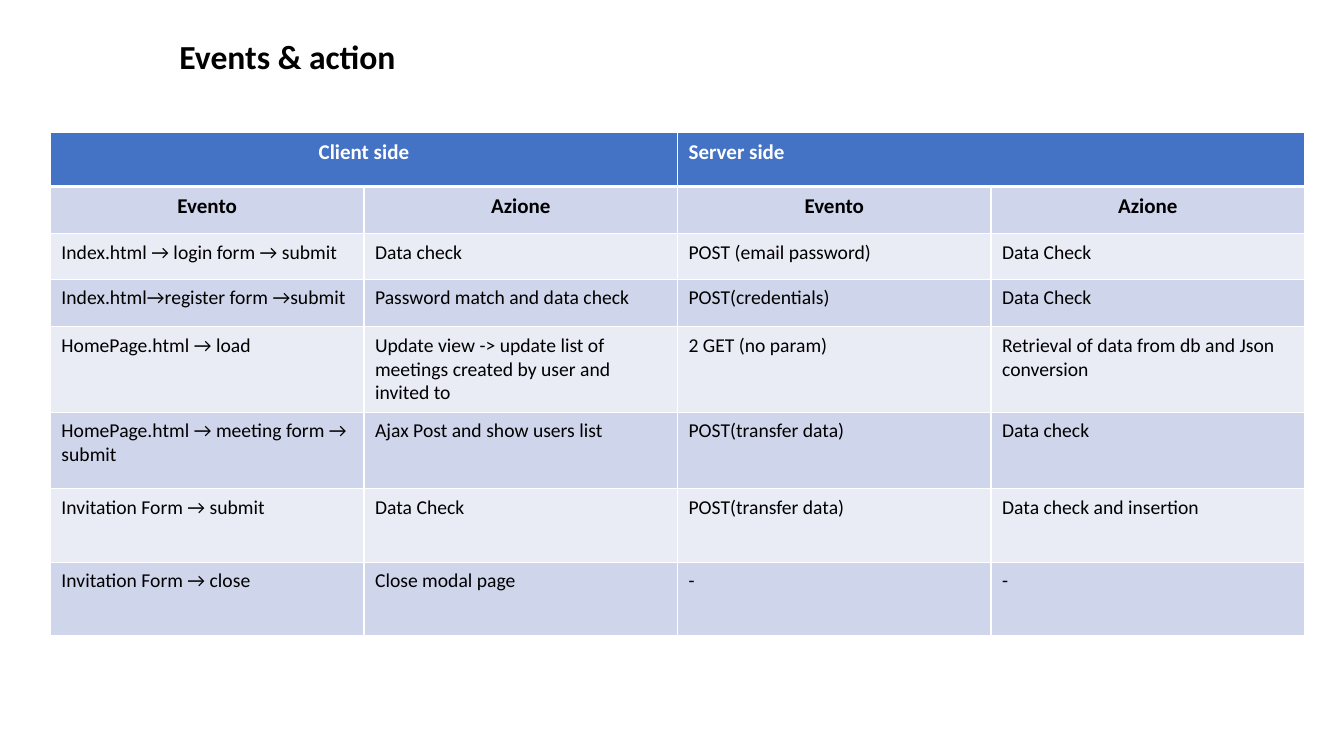
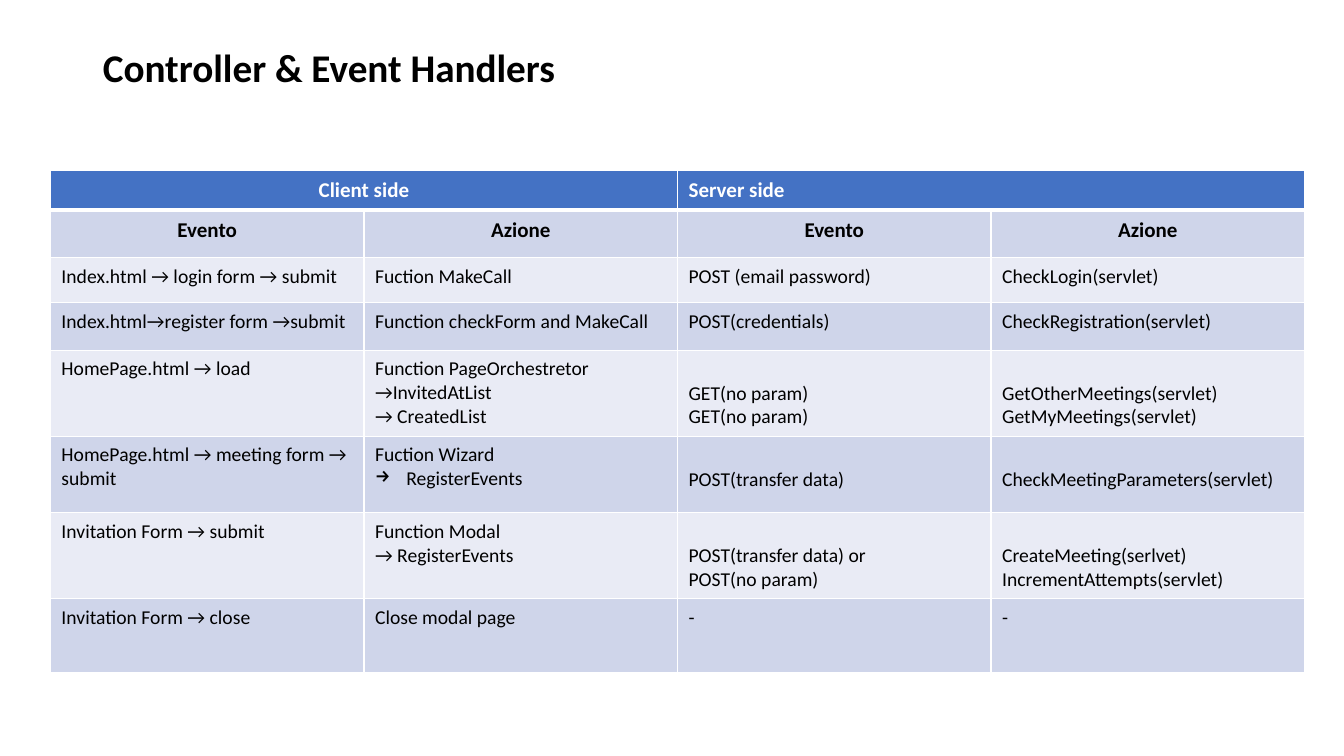
from dataclasses import dataclass

from lxml.etree import SubElement
from pptx import Presentation
from pptx.dml.color import RGBColor
from pptx.enum.text import MSO_ANCHOR, MSO_AUTO_SIZE, PP_ALIGN
from pptx.oxml.ns import qn
from pptx.util import Inches, Pt

COLORS = {
    "black": "000000",
    "white": "FFFFFF",
    "header": "4472C4",
    "dark_band": "CFD5EA",
    "light_band": "E9EBF5",
}
FONT = "Calibri"
TITLE_ONLY_LAYOUT = 5

TABLE_LEFT = 0.5
COLUMN_WIDTH = 3.11
COLUMN_COUNT = 4
BODY_ROW_HEIGHTS = (0.47, 0.45, 0.47, 0.73, 0.76, 0.73, 0.73)
SIDE_MARGIN = 0.11
TOP_MARGIN = 0.07
SECOND_LINE_MARGIN = 0.31
ARROW_INDENT = 0.31
THIN_BORDER = 1
THICK_BORDER = 3


@dataclass(frozen=True)
class Entry:
    text: str
    on_second_line: bool = False
    arrow_on_last: bool = False


@dataclass(frozen=True)
class TitleStyle:
    left: float
    top: float
    width: float
    height: float
    size: int
    line_spacing: float


@dataclass(frozen=True)
class TableSlide:
    title: str
    title_style: TitleStyle
    table_top: float
    header_height: float
    responses: tuple[tuple[Entry, Entry, Entry], ...]


CLIENT_EVENTS = (
    Entry("Index.html → login form → submit"),
    Entry("Index.html→register form →submit"),
    Entry("HomePage.html → load"),
    Entry("HomePage.html → meeting form →\nsubmit"),
    Entry("Invitation Form → submit"),
    Entry("Invitation Form → close"),
)
CLOSE_RESPONSE = (Entry("Close modal page"), Entry("-"), Entry("-"))

SLIDES = (
    TableSlide(
        "Events & action",
        TitleStyle(1.68, 0.31, 2.5, 0.5, 24, 1.0),
        1.31,
        0.54,
        (
            (Entry("Data check"), Entry("POST (email password)"), Entry("Data Check")),
            (Entry("Password match and data check"), Entry("POST(credentials)"),
             Entry("Data Check")),
            (Entry("Update view -> update list of meetings created by user and invited to"),
             Entry("2 GET (no param)"),
             Entry("Retrieval of data from db and Json conversion")),
            (Entry("Ajax Post and show users list"), Entry("POST(transfer data)"),
             Entry("Data check")),
            (Entry("Data Check"), Entry("POST(transfer data)"),
             Entry("Data check and insertion")),
            CLOSE_RESPONSE,
        ),
    ),
    TableSlide(
        "Controller & Event Handlers",
        TitleStyle(0.92, 0.4, 6.71, 0.59, 28, 0.9),
        1.69,
        0.39,
        (
            (Entry("Fuction MakeCall"), Entry("POST (email password)"),
             Entry("CheckLogin(servlet)")),
            (Entry("Function checkForm and MakeCall"), Entry("POST(credentials)"),
             Entry("CheckRegistration(servlet)")),
            (Entry("Function PageOrchestretor\n→InvitedAtList\n→ CreatedList"),
             Entry("GET(no param)\nGET(no param)", on_second_line=True),
             Entry("GetOtherMeetings(servlet)\nGetMyMeetings(servlet)", on_second_line=True)),
            (Entry("Fuction Wizard\nRegisterEvents", arrow_on_last=True),
             Entry("POST(transfer data)", on_second_line=True),
             Entry("CheckMeetingParameters(servlet)", on_second_line=True)),
            (Entry("Function Modal\n→ RegisterEvents"),
             Entry("POST(transfer data) or\nPOST(no param)", on_second_line=True),
             Entry("CreateMeeting(serlvet)\nIncrementAttempts(servlet)", on_second_line=True)),
            CLOSE_RESPONSE,
        ),
    ),
)


def style_font(font, size: int, color: str, bold: bool) -> None:
    font.name = FONT
    font.size = Pt(size)
    font.bold = bold
    font.color.rgb = RGBColor.from_string(COLORS[color])


def add_title(slide, text: str, style: TitleStyle) -> None:
    title = slide.shapes.title
    title.left, title.top = Inches(style.left), Inches(style.top)
    title.width, title.height = Inches(style.width), Inches(style.height)
    text_frame = title.text_frame
    text_frame.text = text
    text_frame.word_wrap = True
    text_frame.auto_size = MSO_AUTO_SIZE.NONE
    text_frame.vertical_anchor = MSO_ANCHOR.MIDDLE
    paragraph = text_frame.paragraphs[0]
    paragraph.alignment = PP_ALIGN.LEFT
    paragraph.line_spacing = style.line_spacing
    style_font(paragraph.runs[0].font, style.size, "black", True)


def add_borders(cell, top: int, bottom: int) -> None:
    properties = cell._tc.get_or_add_tcPr()
    widths = {"a:lnL": THIN_BORDER, "a:lnR": THIN_BORDER, "a:lnT": top, "a:lnB": bottom}
    for tag, width in widths.items():
        line = SubElement(properties, qn(tag), w=str(Pt(width)))
        fill = SubElement(line, qn("a:solidFill"))
        SubElement(fill, qn("a:srgbClr"), val=COLORS["white"])


def add_arrow_bullet(paragraph) -> None:
    properties = paragraph._p.get_or_add_pPr()
    properties.set("marL", str(Inches(ARROW_INDENT)))
    properties.set("indent", str(-Inches(ARROW_INDENT)))
    SubElement(properties, qn("a:buChar"), char="→")


def format_cell(cell, row: int) -> None:
    """Set the borders, fill and margins that follow from the row number."""
    add_borders(
        cell,
        top=THICK_BORDER if row == 1 else THIN_BORDER,
        bottom=THICK_BORDER if row == 0 else THIN_BORDER,
    )
    band = "header" if row == 0 else "dark_band" if row % 2 else "light_band"
    cell.fill.solid()
    cell.fill.fore_color.rgb = RGBColor.from_string(COLORS[band])
    cell.margin_left = cell.margin_right = Inches(SIDE_MARGIN)
    cell.margin_top = cell.margin_bottom = Inches(TOP_MARGIN)


def write_heading(cell, text: str, color: str, alignment: PP_ALIGN) -> None:
    cell.text_frame.text = text
    paragraph = cell.text_frame.paragraphs[0]
    paragraph.alignment = alignment
    style_font(paragraph.runs[0].font, 15, color, True)


def write_entry(cell, entry: Entry) -> None:
    cell.text_frame.text = entry.text
    if entry.on_second_line:
        cell.margin_top = Inches(SECOND_LINE_MARGIN)
    paragraphs = cell.text_frame.paragraphs
    if entry.arrow_on_last:
        add_arrow_bullet(paragraphs[-1])
    for paragraph in paragraphs:
        style_font(paragraph.font, 14, "black", False)
        for run in paragraph.runs:
            style_font(run.font, 14, "black", False)


def add_event_table(slide, content: TableSlide) -> None:
    heights = (content.header_height, *BODY_ROW_HEIGHTS)
    table = slide.shapes.add_table(
        len(heights), COLUMN_COUNT, Inches(TABLE_LEFT), Inches(content.table_top),
        Inches(COLUMN_WIDTH * COLUMN_COUNT), Inches(sum(heights)),
    ).table
    table.first_row = table.horz_banding = False
    for row, height in enumerate(heights):
        table.rows[row].height = Inches(height)
        for column in range(COLUMN_COUNT):
            format_cell(table.cell(row, column), row)

    sides = (("Client side", PP_ALIGN.CENTER), ("Server side", PP_ALIGN.LEFT))
    for index, (side, alignment) in enumerate(sides):
        first = 2 * index
        table.cell(0, first).merge(table.cell(0, first + 1))
        write_heading(table.cell(0, first), side, "white", alignment)
        for offset, heading in enumerate(("Evento", "Azione")):
            write_heading(table.cell(1, first + offset), heading, "black", PP_ALIGN.CENTER)

    for row, (event, responses) in enumerate(zip(CLIENT_EVENTS, content.responses), start=2):
        for column, entry in enumerate((event, *responses)):
            write_entry(table.cell(row, column), entry)


def main() -> None:
    presentation = Presentation()
    presentation.slide_width = Inches(13.33)
    presentation.slide_height = Inches(7.5)
    for content in SLIDES:
        slide = presentation.slides.add_slide(presentation.slide_layouts[TITLE_ONLY_LAYOUT])
        add_title(slide, content.title, content.title_style)
        add_event_table(slide, content)
    presentation.save("out.pptx")


if __name__ == "__main__":
    main()
